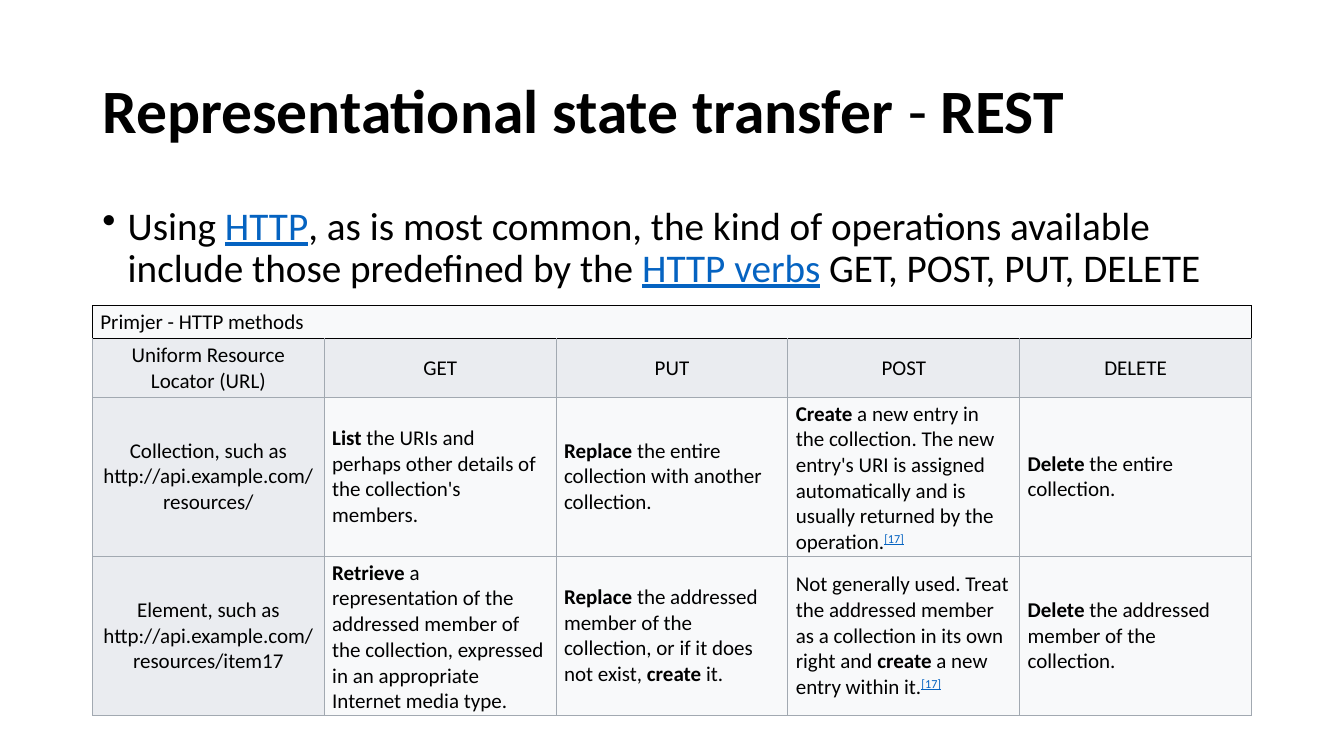
from lxml import etree
from pptx import Presentation
from pptx.dml.color import RGBColor
from pptx.enum import text
from pptx.oxml.ns import qn
from pptx.util import Cm, Pt

FONT = "Calibri"
BLACK, LINK, GREY = "000000", "0563C1", "A2A9B1"
HEAD_FILL, CELL_FILL = "EAECF0", "F8F9FA"

# A run is a plain string or a (text, kind) pair
BOLD, LINKED, NOTE = "bold", "linked", "note"
CITE = ("[17]", NOTE)

TITLE = [("Representational state transfer", BOLD), " - ", ("REST", BOLD)]
INTRO = ["Using ", ("HTTP", LINKED),
         ", as is most common, the kind of operations available include those predefined by the ",
         ("HTTP verbs", LINKED), " GET, POST, PUT, DELETE"]
CAPTION = "Primjer - HTTP methods"
METHODS = [
    [[name] for name in ("Uniform Resource Locator (URL)", "GET", "PUT", "POST", "DELETE")],
    [["Collection, such as http://api.example.com/resources/"],
     [("List", BOLD), " the URIs and perhaps other details of the collection's members."],
     [("Replace", BOLD), " the entire collection with another collection."],
     [("Create", BOLD), " a new entry in the collection. The new entry's URI is assigned "
      "automatically and is usually returned by the operation.", CITE],
     [("Delete", BOLD), " the entire collection."]],
    [["Element, such as http://api.example.com/resources/item17"],
     [("Retrieve", BOLD), " a representation of the addressed member of the collection, "
      "expressed in an appropriate Internet media type."],
     [("Replace", BOLD), " the addressed member of the collection, or if it does not exist, ",
      ("create", BOLD), " it."],
     ["Not generally used. Treat the addressed member as a collection in its own right and ",
      ("create", BOLD), " a new entry within it.", CITE],
     [("Delete", BOLD), " the addressed member of the collection."]],
]
ROW_HEIGHTS = [0.69, 1.19, 3.78, 3.78]


def rgb(value):
    return RGBColor.from_string(value)


def write(p, runs, size):
    p.font.name, p.font.size = FONT, Pt(size)
    p.font.color.rgb = rgb(BLACK)
    for run in runs:
        content, kind = (run, None) if isinstance(run, str) else run
        r = p.add_run()
        r.text = content
        if kind == BOLD:
            r.font.bold = True
        elif kind in (LINKED, NOTE):
            r.font.underline = True
            r.font.color.rgb = rgb(LINK)
        if kind == NOTE:
            r.font._element.set("baseline", "30000")


def add_text(s, box, runs, size, anchor):
    tf = s.shapes.add_textbox(*map(Cm, box)).text_frame
    tf.word_wrap = True
    tf.vertical_anchor = anchor
    p = tf.paragraphs[0]
    p.line_spacing = 0.9
    write(p, runs, size)
    return p


def add_title(s, box):
    add_text(s, box, TITLE, 44, text.MSO_ANCHOR.MIDDLE)


def add_intro(s, box):
    p = add_text(s, box, INTRO, 28, text.MSO_ANCHOR.TOP)
    p.space_before = Pt(10)
    # Hanging bullet
    pPr = p._p.get_or_add_pPr()
    pPr.set("marL", str(Cm(0.64)))
    pPr.set("indent", str(-Cm(0.64)))
    bullet = etree.Element(qn("a:buChar"), char="•")
    pPr.find(qn("a:defRPr")).addprevious(bullet)


def set_borders(cell, **colors):
    tcPr = cell._tc.get_or_add_tcPr()
    for i, (side, color) in enumerate(colors.items()):
        ln = etree.Element(qn(f"a:ln{side}"), w=str(Pt(0.75)))
        fill = etree.SubElement(ln, qn("a:solidFill"))
        etree.SubElement(fill, qn("a:srgbClr"), val=color)
        tcPr.insert(i, ln)


def fill_cell(cell, runs, fill, centred=False):
    cell.fill.solid()
    cell.fill.fore_color.rgb = rgb(fill)
    cell.vertical_anchor = text.MSO_ANCHOR.MIDDLE
    cell.margin_left = cell.margin_right = Cm(0.2)
    cell.margin_top = cell.margin_bottom = Cm(0.1)
    p = cell.text_frame.paragraphs[0]
    p.alignment = text.PP_ALIGN.CENTER if centred else text.PP_ALIGN.LEFT
    write(p, runs, 15)


def add_methods(s, box):
    columns = len(METHODS[0])
    table = s.shapes.add_table(len(ROW_HEIGHTS), columns, *map(Cm, box)).table
    for row, height in zip(table.rows, ROW_HEIGHTS):
        row.height = Cm(height)
    for column in table.columns:
        column.width = Cm(box[2] / columns)

    # Caption row across the table
    caption = table.cell(0, 0)
    caption.merge(table.cell(0, columns - 1))
    fill_cell(caption, [CAPTION], CELL_FILL)
    for i in range(columns):
        set_borders(table.cell(0, i), L=BLACK, R=BLACK, T=BLACK, B=BLACK)

    # Header row, header column and method descriptions
    for i, row in enumerate(METHODS, 1):
        for j, runs in enumerate(row):
            head = i == 1 or j == 0
            cell = table.cell(i, j)
            fill_cell(cell, runs, HEAD_FILL if head else CELL_FILL, head)
            set_borders(cell, L=GREY, R=GREY, T=BLACK if i == 1 else GREY, B=GREY)


def main():
    prs = Presentation()
    prs.slide_width, prs.slide_height = Cm(33.87), Cm(19.05)
    s = prs.slides.add_slide(prs.slide_layouts[6])
    left, width = 2.33, 29.21
    add_title(s, (left, 1.01, width, 3.68))
    add_intro(s, (left, 5.07, width, 12.09))
    add_methods(s, (left, 7.7, width, sum(ROW_HEIGHTS)))
    prs.save("out.pptx")


if __name__ == "__main__":
    main()
